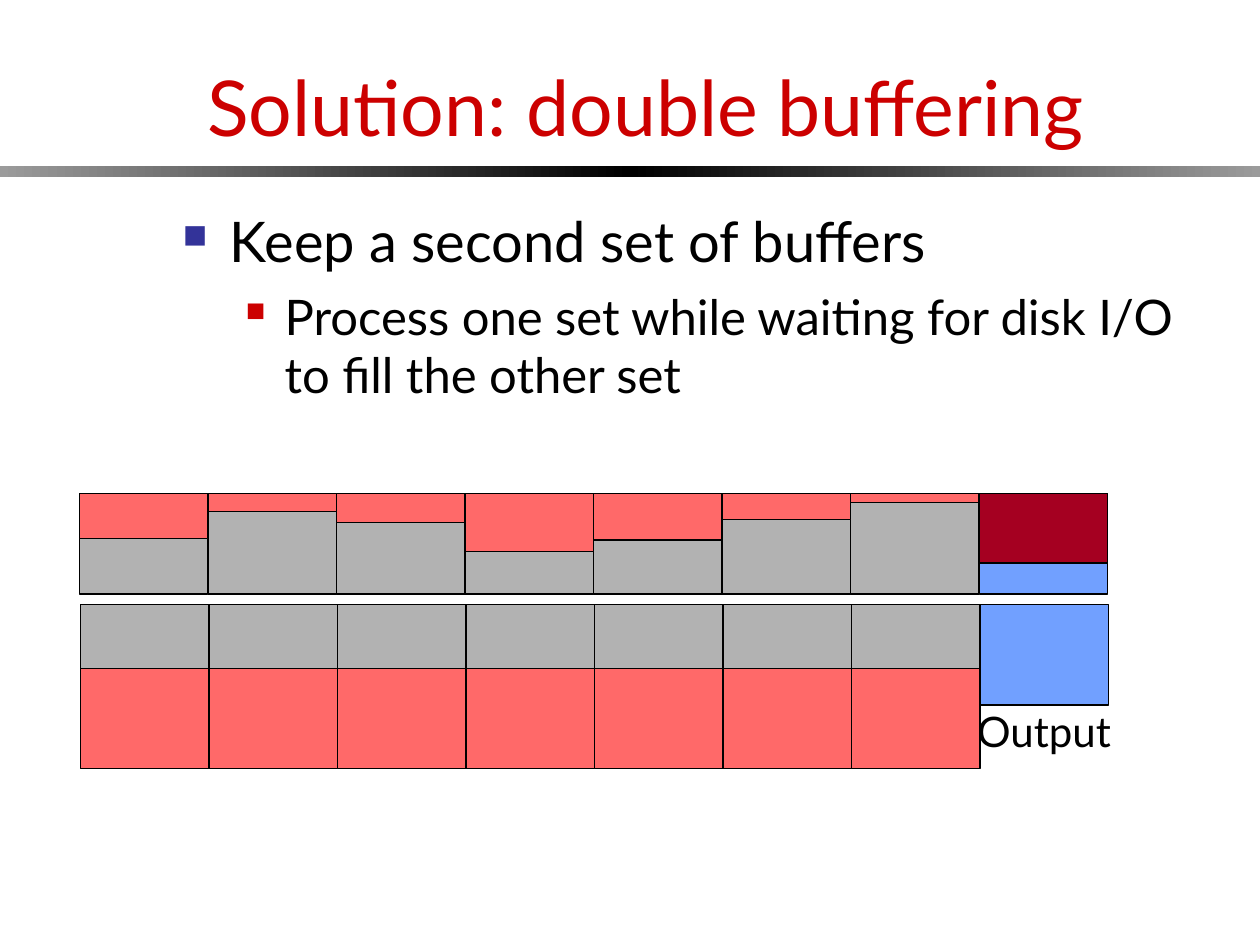
from dataclasses import dataclass
from lxml.etree import SubElement
from pptx import Presentation
from pptx.dml.color import RGBColor
from pptx.enum.shapes import MSO_SHAPE
from pptx.enum.text import MSO_ANCHOR, PP_ALIGN
from pptx.oxml.ns import qn
from pptx.util import Cm, Pt


@dataclass(frozen=True)
class Theme:
    font: str = "Lato"
    title_size: int = 44
    body_size: int = 32
    detail_size: int = 28
    label_size: int = 24
    black: str = "000000"
    red: str = "CC0000"
    blue: str = "333399"
    bar_edge: str = "9B9B9B"
    buffer: str = "B2B2B2"
    data: str = "FF6969"
    output: str = "71A0FF"
    written: str = "A50021"


THEME = Theme()
INPUT_BUFFERS = 7
CONSUMED_HEIGHTS = [0.91, 0.36, 0.58, 1.17, 0.94, 0.53, 0.18]
WRITTEN_HEIGHT = 1.4


def color(value):
    return RGBColor.from_string(value)


def add_rectangle(slide, left, top, width, height):
    shape = slide.shapes.add_shape(
        MSO_SHAPE.RECTANGLE, Cm(left), Cm(top), Cm(width), Cm(height))
    shape.shadow.inherit = False
    return shape


def add_block(slide, left, top, width, height, fill):
    shape = add_rectangle(slide, left, top, width, height)
    shape.fill.solid()
    shape.fill.fore_color.rgb = color(fill)
    shape.line.color.rgb = color(THEME.black)
    shape.line.width = Pt(0.75)


def add_text_frame(slide, left, top, width, height, wrap=True):
    box = slide.shapes.add_textbox(Cm(left), Cm(top), Cm(width), Cm(height))
    box.text_frame.word_wrap = wrap
    return box.text_frame


def add_run(paragraph, text, size, text_color):
    run = paragraph.add_run()
    run.text = text
    run.font.name = THEME.font
    run.font.size = Pt(size)
    run.font.color.rgb = color(text_color)


def add_bullet(paragraph, bullet_color, percent, margin, hanging):
    properties = paragraph._p.get_or_add_pPr()
    properties.set("marL", str(Cm(margin)))
    properties.set("indent", str(-Cm(hanging)))
    bullet = SubElement(properties, qn("a:buClr"))
    SubElement(bullet, qn("a:srgbClr"), val=bullet_color)
    SubElement(properties, qn("a:buSzPct"), val=str(percent * 1000))
    SubElement(properties, qn("a:buChar"), char="■")


def add_title(slide, left, top, width, height):
    frame = add_text_frame(slide, left, top, width, height)
    frame.vertical_anchor = MSO_ANCHOR.BOTTOM
    paragraph = frame.paragraphs[0]
    paragraph.alignment = PP_ALIGN.CENTER
    add_run(paragraph, "Solution: double buffering", THEME.title_size, THEME.red)


def add_divider(slide, left, top, width, height):
    half = width / 2
    ends = [(THEME.bar_edge, THEME.black), (THEME.black, THEME.bar_edge)]
    for index, stop_colors in enumerate(ends):
        shape = add_rectangle(slide, left + index * half, top, half, height)
        shape.line.fill.background()
        shape.fill.gradient()
        shape.fill.gradient_angle = 0
        for stop, stop_color in zip(shape.fill.gradient_stops, stop_colors):
            stop.color.rgb = color(stop_color)


def add_body(slide, left, top, width, height):
    frame = add_text_frame(slide, left, top, width, height)
    point = frame.paragraphs[0]
    point.space_before = Pt(8)
    add_bullet(point, THEME.blue, 60, 0.95, 0.95)
    add_run(point, "Keep a second set of buffers", THEME.body_size, THEME.black)

    detail = frame.add_paragraph()
    detail.level = 1
    detail.space_before = Pt(7)
    add_bullet(detail, THEME.red, 55, 2.06, 0.79)
    add_run(detail, "Process one set while waiting for disk I/O to fill the other set",
            THEME.detail_size, THEME.black)


def add_buffer_row(slide, left, top, pitch, height):
    for index in range(INPUT_BUFFERS):
        add_block(slide, left + index * pitch, top, pitch, height, THEME.buffer)
    add_block(slide, left + INPUT_BUFFERS * pitch, top, pitch, height, THEME.output)


def add_data_row(slide, left, top, pitch, heights):
    for index, height in enumerate(heights):
        add_block(slide, left + index * pitch, top, pitch, height, THEME.data)


def add_buffers(slide, left, top, width, height):
    pitch = width / (INPUT_BUFFERS + 1)
    output_left = left + INPUT_BUFFERS * pitch
    second_left, second_top = left + 0.02, top + 2.24
    data_top = top + height * 0.635
    block_height = top + height - data_top

    label = add_text_frame(slide, output_left - 0.29, top + 4.14, 3.35, 1.27, wrap=False)
    add_run(label.paragraphs[0], "Output", THEME.label_size, THEME.black)

    add_buffer_row(slide, left, top, pitch, block_height)
    add_data_row(slide, left, top, pitch, CONSUMED_HEIGHTS)
    add_block(slide, output_left, top, pitch, WRITTEN_HEIGHT, THEME.written)

    add_buffer_row(slide, second_left, second_top, pitch, block_height)
    add_data_row(slide, second_left, data_top, pitch, [block_height] * INPUT_BUFFERS)


def main():
    presentation = Presentation()
    presentation.slide_width = Cm(25.4)
    presentation.slide_height = Cm(19.05)
    slide = presentation.slides.add_slide(presentation.slide_layouts[6])
    add_divider(slide, 0, 3.35, 25.4, 0.22)
    add_title(slide, 1.4, 0, 23.24, 3.18)
    add_body(slide, 3.43, 4.04, 21.59, 12.8)
    add_buffers(slide, 1.6, 9.95, 20.73, 5.55)
    presentation.save("out.pptx")


if __name__ == "__main__":
    main()
